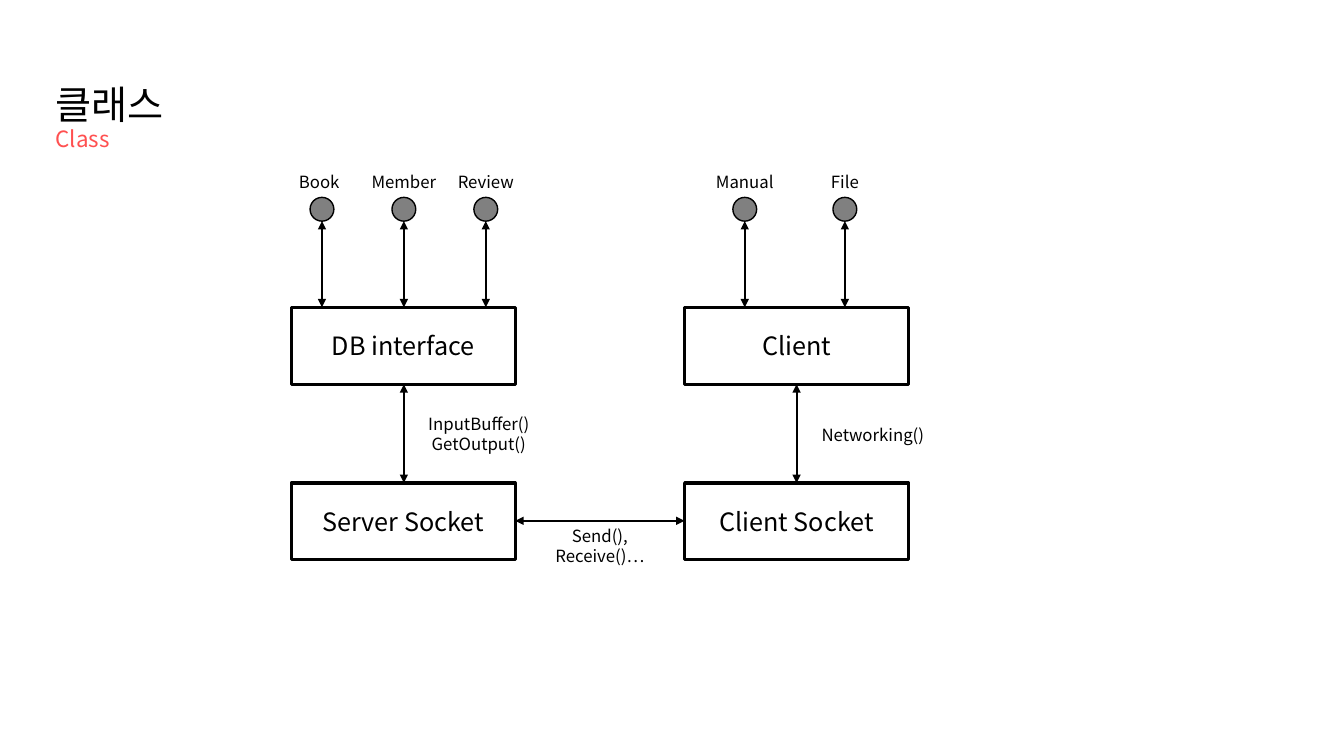
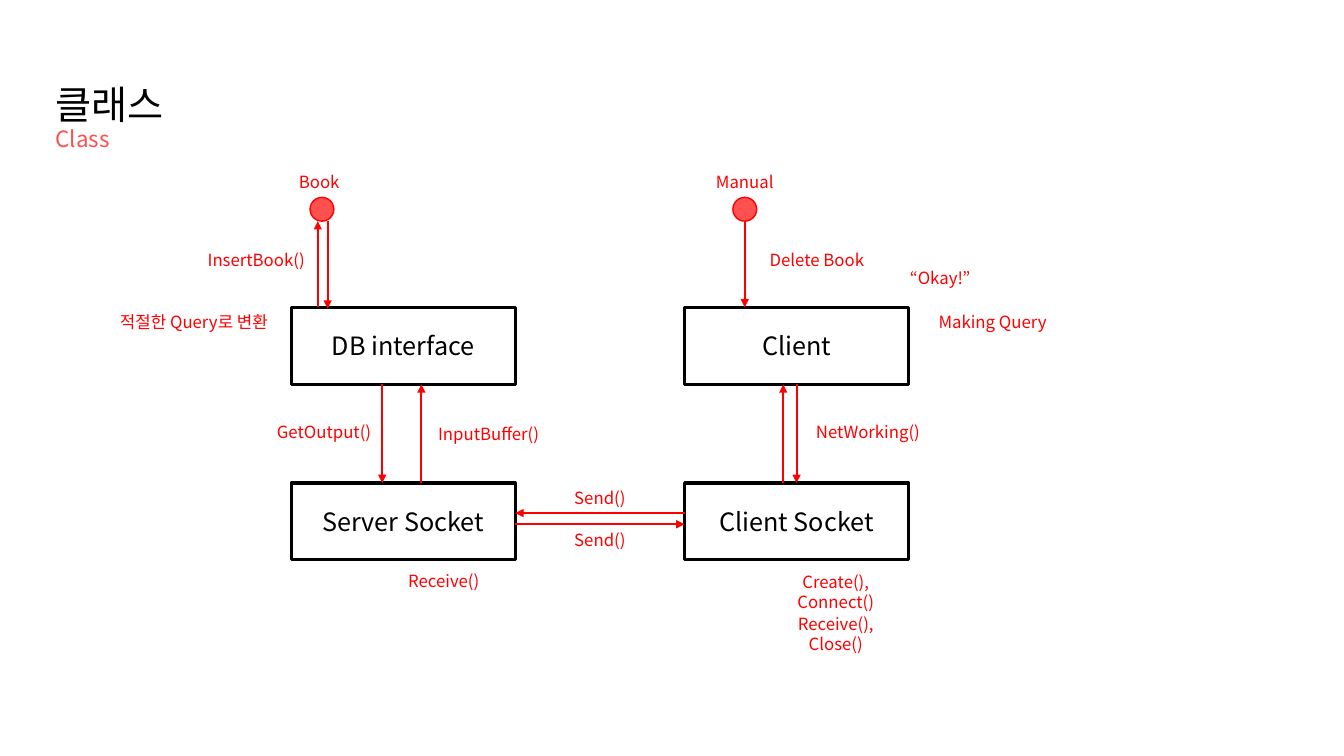
"""Build two slides showing the classes of a client-server book program."""
from lxml.etree import SubElement
from pptx import Presentation
from pptx.dml.color import RGBColor as RGB
from pptx.enum.shapes import MSO_CONNECTOR as CONN, MSO_SHAPE as SHAPE
from pptx.enum.text import MSO_ANCHOR as ANCHOR, PP_ALIGN as ALIGN
from pptx.oxml.ns import qn
from pptx.util import Pt

FONT = "Noto Sans CJK KR"
COLORS = {"ink": "000000", "paper": "FFFFFF", "gray": "808080", "coral": "FF5050", "red": "FF0000"}
RGBS = {name: RGB.from_string(value) for name, value in COLORS.items()}

LEFT, RIGHT = 208, 489
BOX_W, BOX_H = 160, 55
UPPER, LOWER = 219.5, 345
UPPER_END = UPPER + BOX_H
LEFT_END = LEFT + BOX_W
LEFT_MID, RIGHT_MID = LEFT + BOX_W / 2 + 0.5, RIGHT + BOX_W / 2
DOT, DOT_TOP = 17, 141
DOT_END = DOT_TOP + DOT
BOOK, MEMBER, REVIEW, MANUAL, FILE = 230, 288.5, 347, 532, 603.5

BOXES = [
    ("DB interface", LEFT, UPPER),
    ("Client", RIGHT, UPPER),
    ("Server Socket", LEFT, LOWER),
    ("Client Socket", RIGHT, LOWER),
]

SLIDES = [
    {
        "color": "ink", "fill": "gray", "both": True,
        "dots": [("Book", BOOK), ("Member", MEMBER), ("Review", REVIEW),
                 ("Manual", MANUAL), ("File", FILE)],
        "arrows": [(x, DOT_END, x, UPPER) for x in (BOOK, MEMBER, REVIEW, MANUAL, FILE)] + [
            (LEFT_MID, UPPER_END, LEFT_MID, LOWER),
            (RIGHT_MID, UPPER_END, RIGHT_MID, LOWER),
            (RIGHT, 372, LEFT_END, 372),
        ],
        "labels": [
            ("Networking()", 623.5, 299.5),
            ("InputBuffer()\nGetOutput()", 342, 292),
            ("Send(),\nReceive()…", 428.5, 372),
        ],
    },
    {
        "color": "red", "fill": "coral", "both": False,
        "dots": [("Book", BOOK), ("Manual", MANUAL)],
        "arrows": [
            (227, UPPER, 227, DOT_END),
            (234, DOT_END, 234, UPPER + 1),
            (MANUAL, DOT_END, MANUAL, UPPER),
            (273, UPPER_END, 273, LOWER),
            (301, LOWER, 301, UPPER_END),
            (559.5, LOWER, 559.5, UPPER_END),
            (RIGHT_MID, UPPER_END, RIGHT_MID, LOWER),
            (RIGHT, 366.5, LEFT_END, 366.5),
            (LEFT_END, 374.5, RIGHT, 374.5),
        ],
        "labels": [
            ("InsertBook()", 183, 175),
            ("적절한 Query로 변환", 138.5, 219.5),
            ("GetOutput()", 231.5, 298),
            ("InputBuffer()", 349, 299),
            ("Send()", 428.5, 345),
            ("Send()", 428.5, 374.5),
            ("Receive()", 317, 404),
            ("Delete Book", 583.5, 175),
            ("“Okay!”", 671.5, 188),
            ("Making Query", 709, 219.5),
            ("NetWorking()", 620, 298),
            ("Create(),\nConnect()", 597, 404.5),
            ("Receive(),\nClose()", 597, 435),
        ],
    },
]


def write(tf, text, size, color):
    tf.word_wrap = True
    tf.text = text
    for p in tf.paragraphs:
        p.alignment = ALIGN.CENTER
        p.font.size = Pt(size)
        p.font.color.rgb = RGBS[color]
        p.font.name = FONT
        SubElement(p.font._element, qn("a:ea"), typeface=FONT)


def shape(s, kind, x, y, w, h, fill, line, weight):
    sp = s.shapes.add_shape(kind, Pt(x), Pt(y), Pt(w), Pt(h))
    sp.shadow.inherit = False
    sp.fill.solid()
    sp.fill.fore_color.rgb = RGBS[fill]
    sp.line.color.rgb = RGBS[line]
    sp.line.width = Pt(weight)
    return sp


prs = Presentation()
prs.slide_width, prs.slide_height = Pt(960), Pt(540)

for spec_row in SLIDES:
    s = prs.slides.add_slide(prs.slide_layouts[5])
    color = spec_row["color"]

    title = s.shapes.title
    title.left, title.top, title.width, title.height = Pt(32.5), Pt(32.5), Pt(204), Pt(104.5)
    title.text_frame.vertical_anchor = ANCHOR.MIDDLE
    p = title.text_frame.paragraphs[0]
    p.alignment = ALIGN.LEFT
    p.line_spacing = 0.9
    p.font.size = Pt(28)
    for text, size, ink in (("클래스", 28, "ink"), ("Class", 16, "coral")):
        if p.runs:
            p.add_line_break()
        r = p.add_run()
        r.text = text
        r.font.size = Pt(size)
        r.font.color.rgb = RGBS[ink]
        r.font.name = FONT
        SubElement(r.font._element, qn("a:ea"), typeface=FONT)

    for text, x, y in BOXES:
        sp = shape(s, SHAPE.RECTANGLE, x, y, BOX_W, BOX_H, "paper", "ink", 2.25)
        sp.text_frame.vertical_anchor = ANCHOR.MIDDLE
        write(sp.text_frame, text, 18, "ink")

    for text, x in spec_row["dots"]:
        shape(s, SHAPE.FLOWCHART_CONNECTOR, x - DOT / 2, DOT_TOP, DOT, DOT,
              spec_row["fill"], color, 1)

    for x1, y1, x2, y2 in spec_row["arrows"]:
        cxn = s.shapes.add_connector(CONN.STRAIGHT, Pt(x1), Pt(y1), Pt(x2), Pt(y2))
        cxn.line.color.rgb = RGBS[color]
        cxn.line.width = Pt(1.5)
        ln = cxn.line._get_or_add_ln()
        for end in ("a:headEnd", "a:tailEnd") if spec_row["both"] else ("a:tailEnd",):
            SubElement(ln, qn(end), type="triangle")
        SubElement(cxn._element.spPr, qn("a:effectLst"))

    names = [(text, 228 if text == "Book" else x, 119) for text, x in spec_row["dots"]]
    for text, x, y in names + spec_row["labels"]:
        lines = text.count("\n") + 1
        sp = s.shapes.add_textbox(Pt(x - 70), Pt(y), Pt(140), Pt(7 + 14.5 * lines))
        write(sp.text_frame, text, 12, color)

prs.save("out.pptx")
